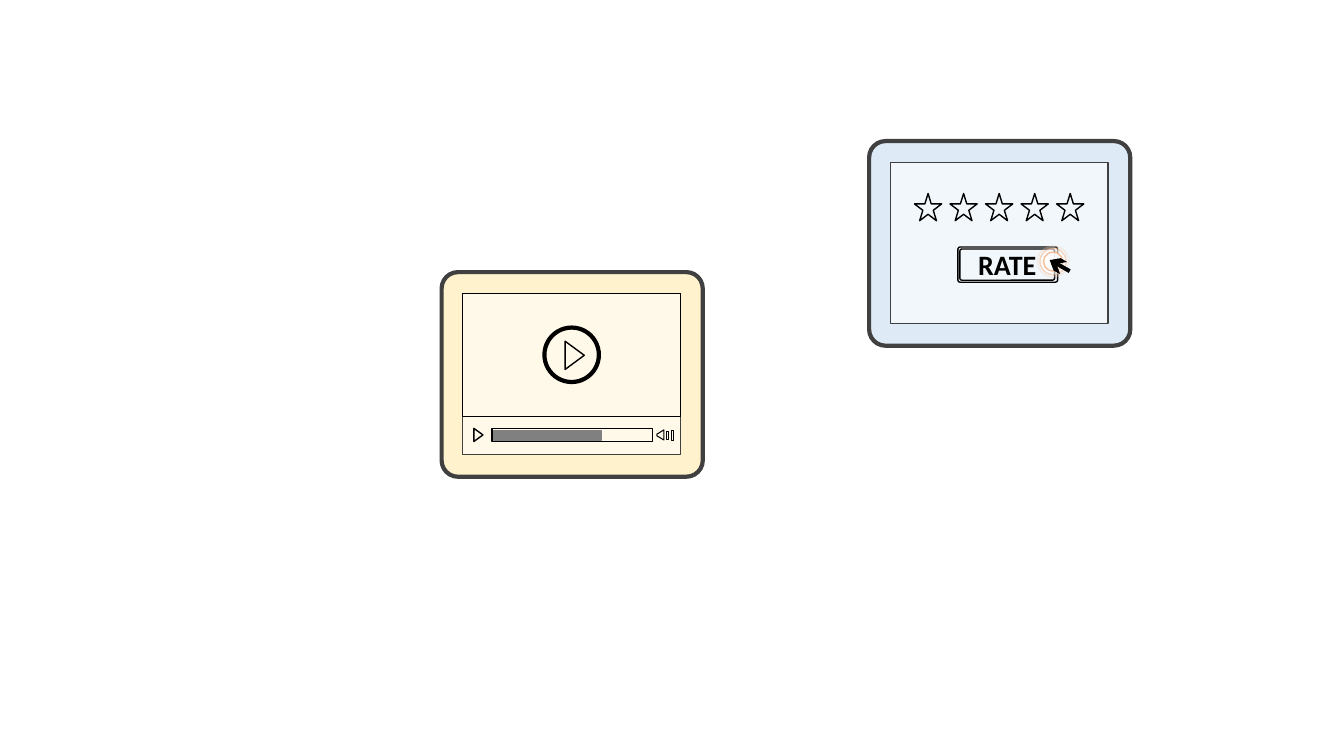
from lxml import etree
from pptx import Presentation
from pptx.dml.color import RGBColor
from pptx.enum.shapes import MSO_SHAPE
from pptx.enum.text import MSO_ANCHOR, MSO_AUTO_SIZE, PP_ALIGN
from pptx.oxml.ns import qn
from pptx.util import Inches, Pt

BLACK = RGBColor(0x00, 0x00, 0x00)
WHITE = RGBColor(0xFF, 0xFF, 0xFF)
DARK_GRAY = RGBColor(0x40, 0x40, 0x40)
GRAY = RGBColor(0x80, 0x80, 0x80)
BLUE = RGBColor(0xDE, 0xEB, 0xF7)
YELLOW = RGBColor(0xFF, 0xF2, 0xCC)
ORANGE = RGBColor(0xF4, 0xB1, 0x83)

RECTANGLE = MSO_SHAPE.RECTANGLE
ROUNDED = MSO_SHAPE.ROUNDED_RECTANGLE
OVAL = MSO_SHAPE.OVAL
STAR = MSO_SHAPE.STAR_5_POINT
TRIANGLE = MSO_SHAPE.ISOSCELES_TRIANGLE
TRAPEZOID = MSO_SHAPE.TRAPEZOID
CHEVRON = MSO_SHAPE.CHEVRON
CENTER = PP_ALIGN.CENTER
MIDDLE = MSO_ANCHOR.MIDDLE
NO_AUTO_SIZE = MSO_AUTO_SIZE.NONE


def set_opacity(color_format_parent, percent):
    """Make every solid colour below the given element translucent."""
    for color in color_format_parent.iter(qn("a:srgbClr")):
        alpha = etree.SubElement(color, qn("a:alpha"))
        alpha.set("val", str(percent * 1000))


def add_part(parent, kind, left, top, width, height, fill=None, line=BLACK,
             weight=1, rotation=0, adjustment=None):
    """Draw one preset shape on a slide or in a group."""
    shape = parent.shapes.add_shape(
        kind, Inches(left), Inches(top), Inches(width), Inches(height))
    shape.shadow.inherit = False
    shape.rotation = rotation
    if adjustment is not None:
        shape.adjustments[0] = adjustment
    if fill is None:
        shape.fill.background()
    else:
        shape.fill.solid()
        shape.fill.fore_color.rgb = fill
    if line is None:
        shape.line.fill.background()
    else:
        shape.line.color.rgb = line
        shape.line.width = Pt(weight)
    return shape


def add_device(slide, left, top, color):
    """Draw a tablet frame with its pale screen."""
    add_part(slide, ROUNDED, left, top, 2.59, 2.03, color, DARK_GRAY, 3,
             adjustment=0.08)
    screen = add_part(slide, RECTANGLE, left + 0.21, top + 0.21, 2.16, 1.6,
                      WHITE, DARK_GRAY)
    set_opacity(screen.fill._xPr.find(qn("a:solidFill")), 60)


def add_stars(slide, left, top, count=5, pitch=0.3525):
    group = slide.shapes.add_group_shape()
    for index in range(count):
        add_part(group, STAR, left + index * pitch, top, 0.27, 0.27)


def add_rate_button(slide):
    group = slide.shapes.add_group_shape()
    add_part(group, ROUNDED, 9.5, 2.45, 0.99, 0.35, adjustment=0.07)
    add_part(group, ROUNDED, 9.52, 2.47, 0.94, 0.31, adjustment=0.07)
    label = group.shapes.add_textbox(
        Inches(9.6), Inches(2.4), Inches(0.78), Inches(0.44))
    text_frame = label.text_frame
    text_frame.text = "RATE"
    text_frame.word_wrap = False
    text_frame.auto_size = NO_AUTO_SIZE
    text_frame.vertical_anchor = MIDDLE
    paragraph = text_frame.paragraphs[0]
    paragraph.alignment = CENTER
    font = paragraph.runs[0].font
    font.name = "Calibri"
    font.size = Pt(20)
    font.bold = True
    font.color.rgb = BLACK


def add_click_cursor(slide):
    # Ripples around the click, denser towards the middle
    ripples = slide.shapes.add_group_shape()
    center_x, center_y = 10.445, 2.595
    for diameter, opacity in ((0.31, 20), (0.26, 50), (0.19, 80)):
        ripple = add_part(ripples, OVAL, center_x - diameter / 2,
                          center_y - diameter / 2, diameter, diameter,
                          WHITE, ORANGE)
        set_opacity(ripple._element.spPr, opacity)

    # Arrow pointer
    pointer = slide.shapes.add_group_shape()
    add_part(pointer, RECTANGLE, 10.46, 2.63, 0.16, 0.04, BLACK, None,
             rotation=209.7)
    add_part(pointer, CHEVRON, 10.4, 2.55, 0.16, 0.14, BLACK, None,
             rotation=209.7, adjustment=0.6)


def add_player(slide):
    # Video area with the large play button
    add_part(slide, RECTANGLE, 4.59, 2.91, 2.16, 1.22)
    play_button = slide.shapes.add_group_shape()
    add_part(play_button, OVAL, 5.4, 3.25, 0.54, 0.54, weight=3)
    add_part(play_button, TRIANGLE, 5.56, 3.43, 0.28, 0.19, rotation=90)

    # Small play button and progress bar
    add_part(slide, TRIANGLE, 4.68, 4.27, 0.13, 0.09, rotation=90)
    progress = slide.shapes.add_group_shape()
    add_part(progress, RECTANGLE, 4.88, 4.25, 1.59, 0.13)
    add_part(progress, RECTANGLE, 4.9, 4.27, 1.06, 0.1, GRAY, GRAY)

    # Volume symbol
    add_part(slide, TRAPEZOID, 6.5, 4.28, 0.1, 0.07, weight=0.75,
             rotation=270, adjustment=0.6)
    add_part(slide, RECTANGLE, 6.61, 4.28, 0.02, 0.08, weight=0.75)
    add_part(slide, RECTANGLE, 6.66, 4.27, 0.02, 0.1, weight=0.75)


def main():
    presentation = Presentation()
    presentation.slide_width = Inches(13.33)
    presentation.slide_height = Inches(7.5)
    slide = presentation.slides.add_slide(presentation.slide_layouts[6])

    # Rating tablet
    add_device(slide, 8.62, 1.4, BLUE)
    add_stars(slide, 9.07, 1.92)
    add_rate_button(slide)
    add_click_cursor(slide)

    # Video tablet
    add_device(slide, 4.38, 2.7, YELLOW)
    add_player(slide)

    presentation.save("out.pptx")


if __name__ == "__main__":
    main()
